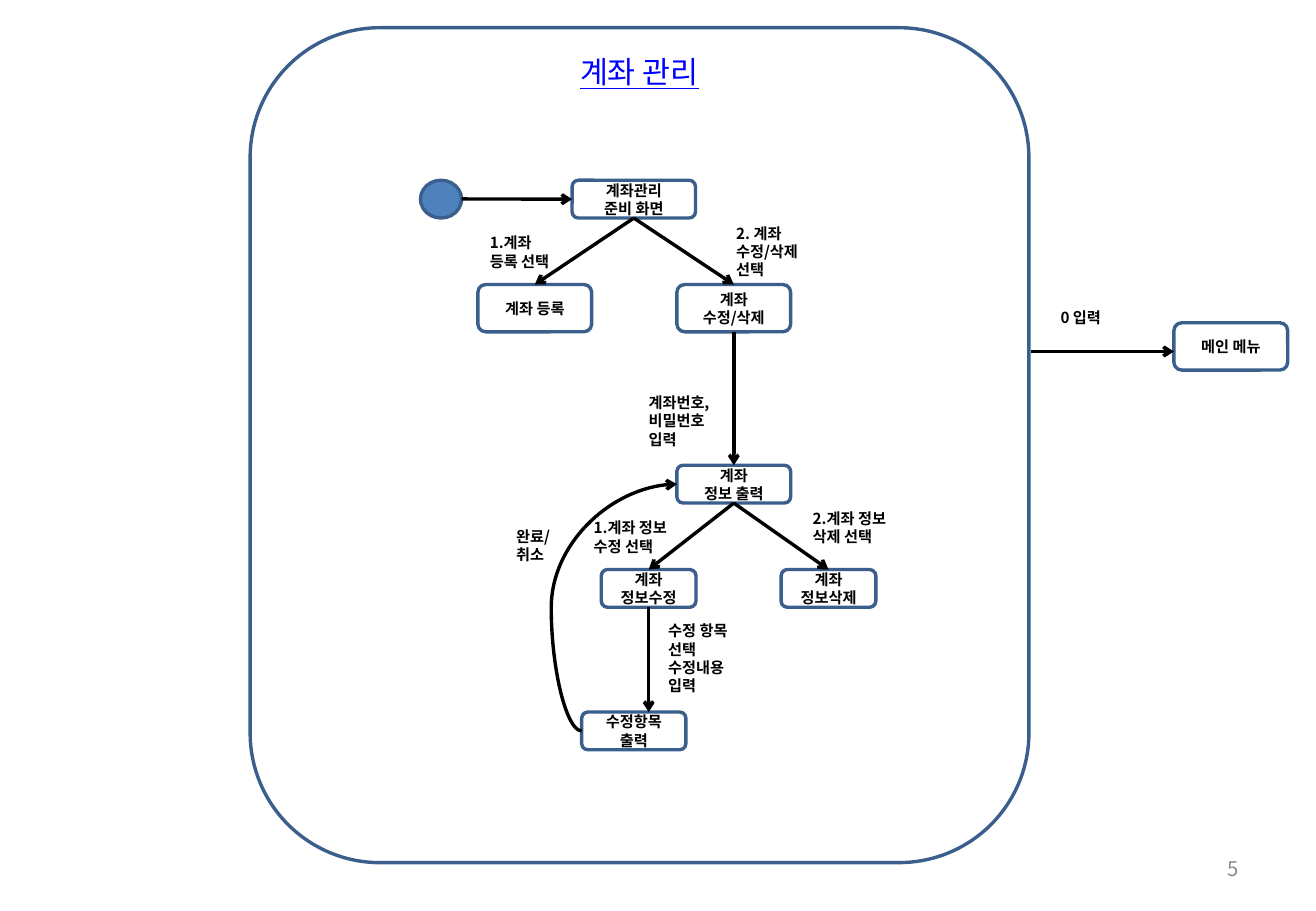
from lxml import etree
from pptx import Presentation
from pptx.dml.color import RGBColor
from pptx.enum.shapes import MSO_CONNECTOR, MSO_SHAPE
from pptx.enum.text import MSO_ANCHOR, PP_ALIGN
from pptx.oxml.ns import qn
from pptx.util import Cm, Pt

ROUNDED, OVAL = MSO_SHAPE.ROUNDED_RECTANGLE, MSO_SHAPE.OVAL
STRAIGHT, CURVED = MSO_CONNECTOR.STRAIGHT, MSO_CONNECTOR.CURVE
LEFT, CENTER, RIGHT = PP_ALIGN.LEFT, PP_ALIGN.CENTER, PP_ALIGN.RIGHT
TOP, MIDDLE = MSO_ANCHOR.TOP, MSO_ANCHOR.MIDDLE
TOP_SIDE, LEFT_SIDE, BOTTOM_SIDE = 0, 1, 2

BLACK = RGBColor(0x00, 0x00, 0x00)
GREY = RGBColor(0x8C, 0x8C, 0x8C)
TITLE_BLUE = RGBColor(0x00, 0x00, 0xFF)
OUTLINE_BLUE = RGBColor(0x3A, 0x5F, 0x8C)
START_BLUE = RGBColor(0x4F, 0x81, 0xBD)


class StateDiagram:
    """Adds the elements of a state diagram to one slide."""

    font_name = "Noto Sans CJK KR"
    line_width = Pt(2)

    def __init__(self, presentation):
        self.slide = presentation.slides.add_slide(presentation.slide_layouts[5])
        self.shapes = self.slide.shapes

    def fill_text(self, text_frame, lines, align, size=9, color=BLACK,
                  bold=True, underline=None, anchor=TOP):
        text_frame.word_wrap = True
        text_frame.vertical_anchor = anchor
        for index, line in enumerate(lines):
            paragraph = text_frame.paragraphs[0] if index == 0 else text_frame.add_paragraph()
            paragraph.alignment = align
            run = paragraph.add_run()
            run.text = line
            font = run.font
            font.size, font.bold, font.underline = Pt(size), bold, underline
            font.color.rgb = color
            font.name = self.font_name
            east_asian = etree.SubElement(run._r.get_or_add_rPr(), qn("a:ea"))
            east_asian.set("typeface", self.font_name)

    def title(self, text, left, top, width, height):
        title = self.shapes.title
        title.left, title.top = Cm(left), Cm(top)
        title.width, title.height = Cm(width), Cm(height)
        self.fill_text(title.text_frame, [text], CENTER, 18, TITLE_BLUE, False, True, MIDDLE)

    def outline(self, kind, left, top, width, height, fill=None):
        shape = self.shapes.add_shape(kind, Cm(left), Cm(top), Cm(width), Cm(height))
        shape.shadow.inherit = False
        if fill is None:
            shape.fill.background()
        else:
            shape.fill.solid()
            shape.fill.fore_color.rgb = fill
        shape.line.color.rgb = OUTLINE_BLUE
        shape.line.width = self.line_width
        return shape

    def state(self, lines, left, top, width, height=0.79):
        shape = self.outline(ROUNDED, left, top, width, height)
        self.fill_text(shape.text_frame, lines, CENTER, anchor=MIDDLE)
        return shape

    def label(self, lines, left, top, width, height, inset=0.25, align=LEFT, **style):
        box = self.shapes.add_textbox(Cm(left), Cm(top), Cm(width), Cm(height))
        frame = box.text_frame
        frame.margin_left = frame.margin_right = Cm(inset)
        frame.margin_top = frame.margin_bottom = Cm(inset / 2)
        self.fill_text(frame, lines, align, **style)

    def arrow(self, begin, end, kind=STRAIGHT, bend=None):
        """Each end is (shape, side) or a point (x, y) in centimetres."""
        begin_joined, end_joined = (not isinstance(place[0], float) for place in (begin, end))
        x1, y1 = (0, 0) if begin_joined else begin
        x2, y2 = (0, 0) if end_joined else end
        connector = self.shapes.add_connector(kind, Cm(x1), Cm(y1), Cm(x2), Cm(y2))
        if begin_joined:
            connector.begin_connect(*begin)
        if end_joined:
            connector.end_connect(*end)
        connector.line.color.rgb = BLACK
        connector.line.width = self.line_width
        properties = connector._element.spPr
        head = etree.SubElement(properties.find(qn("a:ln")), qn("a:tailEnd"))
        head.set("type", "arrow")
        etree.SubElement(properties, qn("a:effectLst"))
        if bend is not None:
            geometry = properties.find(qn("a:prstGeom"))
            values = geometry.find(qn("a:avLst"))
            if values is None:
                values = etree.SubElement(geometry, qn("a:avLst"))
            guide = etree.SubElement(values, qn("a:gd"))
            guide.set("name", "adj1")
            guide.set("fmla", f"val {bend}")


def main():
    presentation = Presentation()
    presentation.slide_width, presentation.slide_height = Cm(27.51), Cm(19.05)
    diagram = StateDiagram(presentation)

    # Frame and title
    diagram.outline(ROUNDED, 5.23, 0.58, 16.28, 17.46)
    diagram.title("계좌 관리", 7.8, 0.99, 11.13, 1.02)

    # States
    diagram.outline(OVAL, 8.79, 3.77, 0.86, 0.79, START_BLUE)
    ready = diagram.state(["계좌관리", "준비 화면"], 11.96, 3.77, 2.58)
    register = diagram.state(["계좌 등록"], 9.99, 5.95, 2.38, 0.99)
    edit = diagram.state(["계좌", "수정/삭제"], 14.15, 5.95, 2.38, 0.99)
    details = diagram.state(["계좌", "정보 출력"], 14.15, 9.73, 2.38)
    modify = diagram.state(["계좌", "정보수정"], 12.57, 11.91, 1.98)
    delete = diagram.state(["계좌", "정보삭제"], 16.33, 11.91, 1.98)
    items = diagram.state(["수정항목 출력"], 12.16, 14.89, 2.18)
    diagram.state(["메인 메뉴"], 24.54, 6.75, 2.38, 0.99)

    # Transitions
    diagram.arrow((9.65, 4.16), (ready, LEFT_SIDE))
    for source, target in ((ready, register), (ready, edit), (edit, details),
                           (details, modify), (details, delete)):
        diagram.arrow((source, BOTTOM_SIDE), (target, TOP_SIDE))
    diagram.arrow((modify, BOTTOM_SIDE), (13.56, 14.89))
    diagram.arrow((items, LEFT_SIDE), (details, LEFT_SIDE), CURVED, -32000)
    diagram.arrow((21.56, 7.35), (24.54, 7.35))

    # Transition labels
    diagram.label(["1.계좌", "등록 선택"], 9.99, 4.76, 2.18, 1.02)
    diagram.label(["2. 계좌", "수정/삭제 선택"], 15.14, 4.56, 1.98, 1.42)
    diagram.label(["계좌번호,", "비밀번호", "입력"], 13.36, 8.13, 2.39, 1.37, 0.2)
    diagram.label(["1.계좌 정보", "수정 선택"], 12.16, 10.72, 2.58, 1.02)
    diagram.label(["2.계좌 정보", "삭제 선택"], 16.74, 10.52, 2.38, 1.02)
    diagram.label(["완료/", "취소"], 10.59, 10.92, 2.01, 0.99, 0.2)
    diagram.label(["수정 항목", "선택", "수정내용", "입력"], 13.77, 12.9, 2.01, 2.13, 0.2)
    diagram.label(["0 입력"], 21.97, 6.35, 1.78, 0.61, 0.2)

    # Page number
    diagram.label(["5"], 19.71, 17.65, 6.43, 1.02, align=RIGHT,
                  size=12, color=GREY, bold=False, anchor=MIDDLE)

    presentation.save("out.pptx")


if __name__ == "__main__":
    main()
